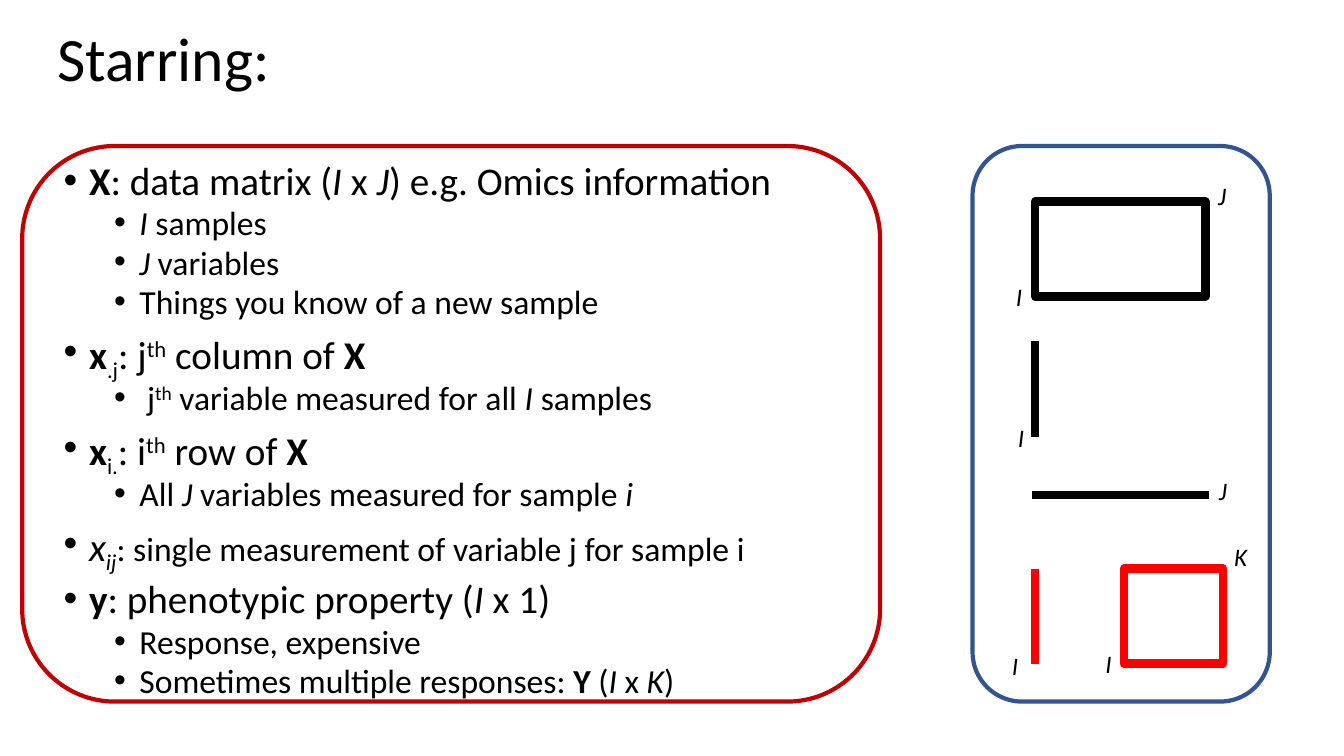
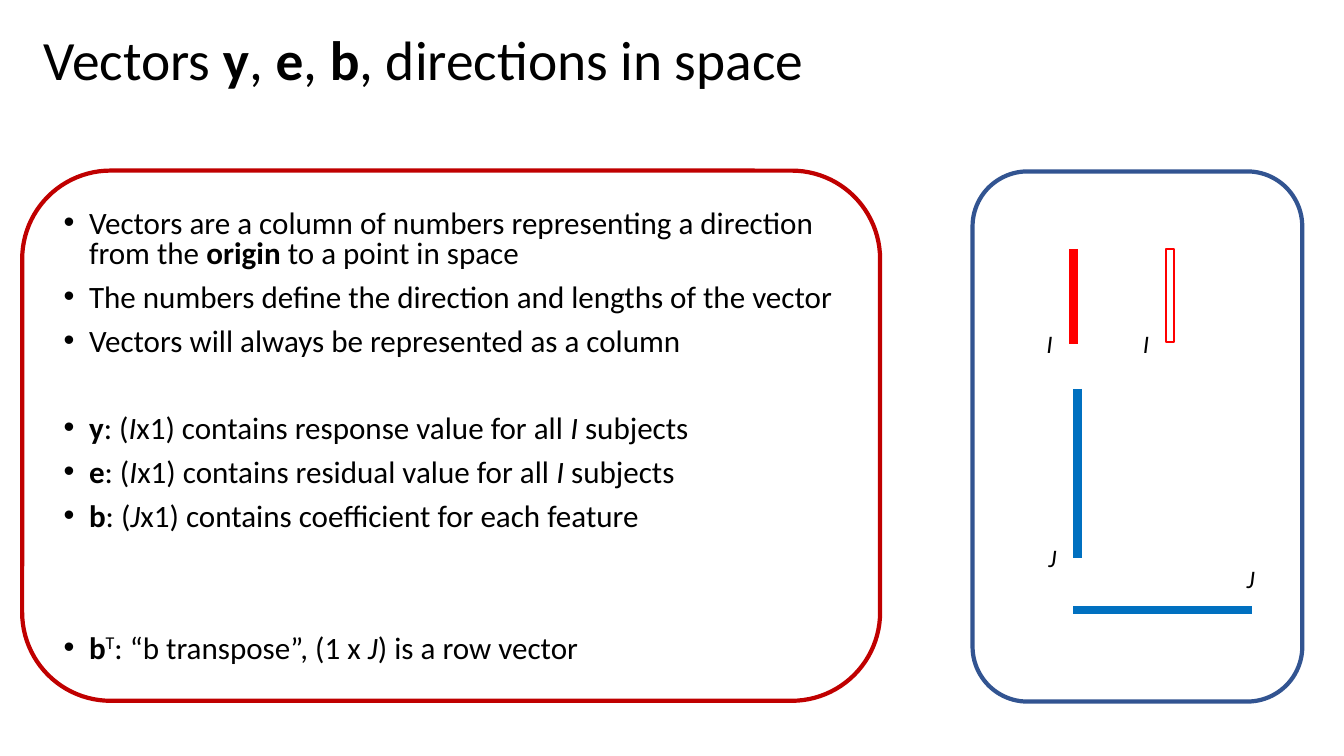
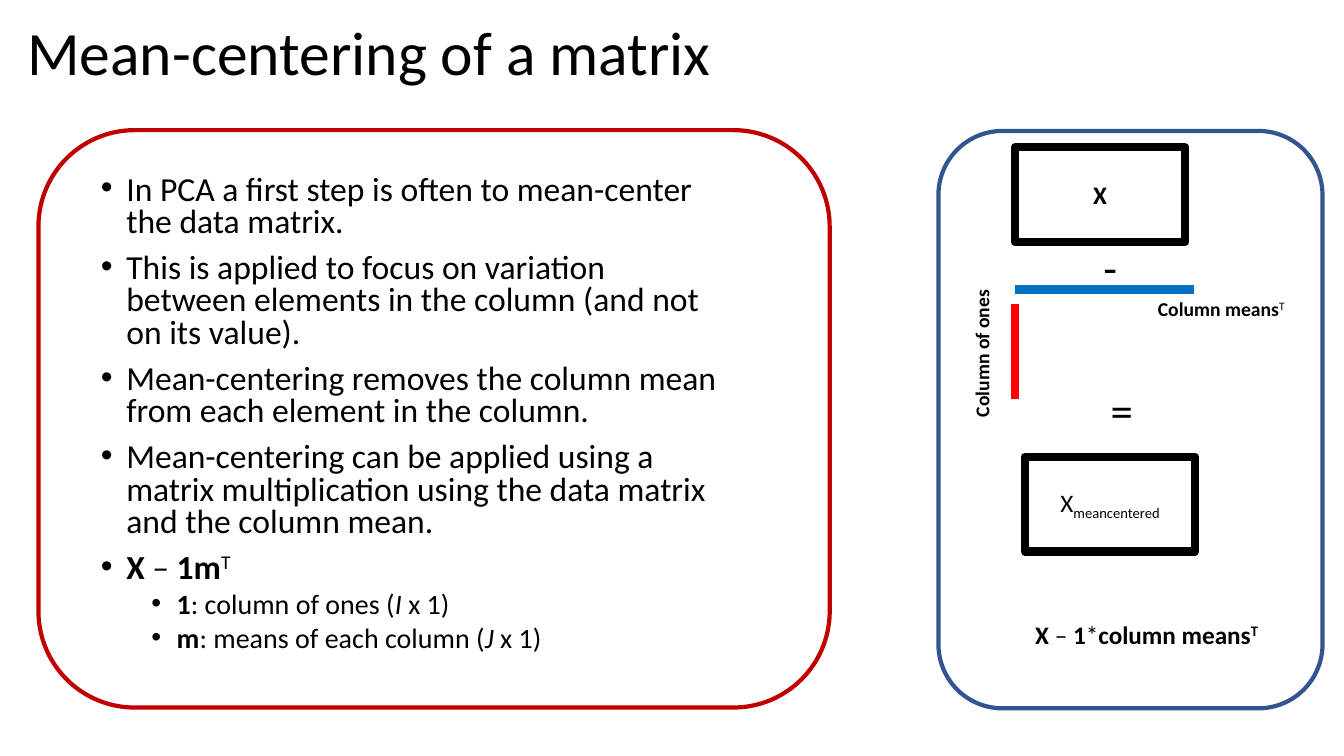
from lxml import etree
from pptx import Presentation
from pptx.dml.color import RGBColor
from pptx.enum.shapes import MSO_CONNECTOR, MSO_SHAPE
from pptx.enum.text import MSO_ANCHOR, MSO_AUTO_SIZE, PP_ALIGN
from pptx.oxml.ns import qn
from pptx.util import Cm, Pt

RECT, ROUND = MSO_SHAPE.RECTANGLE, MSO_SHAPE.ROUNDED_RECTANGLE
LINE = MSO_CONNECTOR.STRAIGHT
LEFT, CENTER = PP_ALIGN.LEFT, PP_ALIGN.CENTER
TOP, MIDDLE = MSO_ANCHOR.TOP, MSO_ANCHOR.MIDDLE
FIXED = MSO_AUTO_SIZE.NONE


class Theme:
    font = "Calibri"
    black = RGBColor(0x00, 0x00, 0x00)
    white = RGBColor(0xFF, 0xFF, 0xFF)
    red = RGBColor(0xFF, 0x00, 0x00)
    blue = RGBColor(0x00, 0x70, 0xC0)
    edges = (RGBColor(0xC0, 0x00, 0x00), RGBColor(0x32, 0x54, 0x91))
    title, small_title = 44, 39.6
    large, text, medium, detail = 28, 24, 22.2, 20
    sign, label, note = 32, 18, 14
    thick, edge, thin = 6, 3, 1.5


def write(para, markup, size):
    """Words in {style words} are b bold, i italic, s raised, d lowered, m text size."""
    for part in markup.split("{"):
        marked, brace, plain = part.rpartition("}")
        style, gap, words = marked.partition(" ")
        for look, piece in ((style, words), ("", plain)):
            if not piece:
                continue
            run = para.add_run()
            run.text = piece
            font = run.font
            font.name = Theme.font
            font.size = Pt(Theme.text if "m" in look else size)
            font.color.rgb = Theme.black
            font.bold = "b" in look
            font.italic = "i" in look
            if "s" in look or "d" in look:
                shift = "30000" if "s" in look else "-25000"
                run._r.get_or_add_rPr().set("baseline", shift)


def draw(slide, kind, place, color, width, fill=None):
    shape = slide.shapes.add_shape(kind, *map(Cm, place))
    shape.shadow.inherit = False
    shape.line.color.rgb = color
    shape.line.width = Pt(width)
    if fill is None:
        shape.fill.background()
    else:
        shape.fill.solid()
        shape.fill.fore_color.rgb = fill
    return shape


pages = [
    dict(
        title="Starring:",
        head=(1.19, 0.48, 29.21, 2.13),
        size=Theme.title,
        body=(1.35, 4.04, 20.83, 14),
        sizes=(Theme.large, Theme.text),
        items=[
            (0, 0, "{b X}: data matrix ({i I} x {i J}) e.g. Omics information"),
            (1, 5, "{i I} samples"),
            (1, 5, "{i J} variables"),
            (1, 5, "Things you know of a new sample"),
            (0, 10, "{b x}{d .j}: j{s th} column of {b X}"),
            (1, 5, " j{s th} variable measured for all {i I} samples"),
            (0, 10, "{b x}{d i.}: i{s th} row of {b X}"),
            (1, 5, "All {i J} variables measured for sample {i i}"),
            (0, 10, "{i x}{id ij}{m : single measurement of variable j for sample i}"),
            (0, 10, "{b y}: phenotypic property ({i I} x 1)"),
            (1, 5, "Response, expensive"),
            (1, 5, "Sometimes multiple responses: {b Y} ({i I} x {i K})"),
        ],
        panels=[(0.56, 3.68, 21.62, 14), (24.51, 3.68, 7.49, 14)],
        frames=[
            ((26.09, 5.08, 4.29, 2.39), Theme.black, Theme.thick, ""),
            ((28.32, 14.33, 2.51, 2.39), Theme.red, Theme.thick, ""),
        ],
        bars=[
            ((26.09, 8.59, 26.09, 11), Theme.black),
            ((26.01, 12.47, 30.48, 12.47), Theme.black),
            ((26.09, 14.33, 26.09, 16.74), Theme.red),
        ],
        labels=[
            ("{i J}", 30.7, 4.55, 0.5, Theme.label, 0),
            ("{i I}", 25.6, 7.09, 0.5, Theme.label, 0),
            ("{i I}", 25.65, 10.64, 0.5, Theme.label, 0),
            ("{i J}", 30.72, 11.99, 0.5, Theme.label, 0),
            ("{i K}", 31.1, 13.64, 0.5, Theme.label, 0),
            ("{i I}", 25.5, 16.38, 0.5, Theme.label, 0),
            ("{i I}", 27.86, 16.33, 0.5, Theme.label, 0),
        ],
    ),
    dict(
        title="Vectors {b y}, {b e}, {b b}, directions in space",
        head=(0.84, 0.71, 29.21, 1.75),
        size=Theme.small_title,
        body=(1.35, 5.18, 20.04, 12.09),
        sizes=(Theme.medium, Theme.medium),
        items=[
            (0, 0, "Vectors are a column of numbers representing a direction "
                   "from the {b origin} to a point in space"),
            (0, 10, "The numbers define the direction and lengths of the vector"),
            (0, 10, "Vectors will always be represented as a column"),
            (0, 41.5, "{b y}: ({i I}x1) contains response value for all {i I} subjects"),
            (0, 10, "{b e}: ({i I}x1) contains residual value for all {i I} subjects"),
            (0, 10, "{b b}: ({i J}x1) contains coefficient for each feature"),
            (0, 72.5, "{b b}{s T}: “b transpose”, (1 x {i J}) is a row vector"),
        ],
        panels=[(0.56, 4.3, 21.62, 13.36), (24.51, 4.32, 8.31, 13.36)],
        frames=[((29.39, 6.27, 0.2, 2.36), Theme.red, Theme.thin, "")],
        bars=[
            ((27.05, 6.27, 27.05, 8.66), Theme.red),
            ((27.15, 9.8, 27.15, 14.05), Theme.blue),
            ((27.05, 15.37, 31.55, 15.37), Theme.blue),
        ],
        labels=[
            ("{i I}", 26.37, 8.28, 0.5, Theme.label, 0),
            ("{i I}", 28.8, 8.28, 0.5, Theme.label, 0),
            ("{i J}", 26.42, 13.67, 0.5, Theme.label, 0),
            ("{i J}", 31.42, 14.2, 0.5, Theme.label, 0),
        ],
    ),
    dict(
        title="Mean-centering of a matrix",
        head=(0.43, 0.33, 29.21, 2.13),
        size=Theme.title,
        body=(2.29, 4.29, 16.18, 13.56),
        sizes=(Theme.text, Theme.detail),
        items=[
            (0, 0, "In PCA a first step is often to mean-center the data matrix."),
            (0, 10, "This is applied to focus on variation between elements "
                    "in the column (and not on its value)."),
            (0, 10, "Mean-centering removes the column mean from each element "
                    "in the column."),
            (0, 10, "Mean-centering can be applied using a matrix multiplication "
                    "using the data matrix and the column mean."),
            (0, 10, "{b X} – {b 1m}{s T}"),
            (1, 5, "{b 1}: column of ones ({i I} x 1)"),
            (1, 5, "{b m}: means of each column ({i J} x 1)"),
        ],
        panels=[(0.97, 3.28, 19.94, 14.55), (23.65, 3.3, 9.68, 14.55)],
        frames=[
            ((25.58, 3.71, 4.29, 2.39), Theme.black, Theme.thick, "{b X}"),
            ((25.83, 11.51, 4.29, 2.39), Theme.black, Theme.thick, "X{d meancentered}"),
        ],
        bars=[
            ((25.58, 7.67, 25.58, 10.06), Theme.red),
            ((25.58, 7.29, 30.1, 7.29), Theme.blue),
        ],
        labels=[
            ("-", 27.81, 6.05, 0.8, Theme.sign, 0),
            ("{b Column means}{s T}", 29.18, 7.49, 3.6, Theme.note, 0),
            ("{b Column of ones}", 22.94, 8.41, 3.6, Theme.note, 270),
            ("=", 27.99, 9.65, 0.8, Theme.sign, 0),
            ("{b X} – {b 1}*{b column means}{bs T}", 26.09, 15.6, 6.4, Theme.label, 0),
        ],
    ),
]

deck = Presentation()
deck.slide_width, deck.slide_height = Cm(33.87), Cm(19.05)

for page in pages:
    slide = deck.slides.add_slide(deck.slide_layouts[1])
    title, body = slide.shapes.title, slide.placeholders[1]
    for holder, place, anchor in ((title, page["head"], MIDDLE), (body, page["body"], TOP)):
        holder.left, holder.top, holder.width, holder.height = map(Cm, place)
        holder.text_frame.auto_size = FIXED
        holder.text_frame.vertical_anchor = anchor

    para = title.text_frame.paragraphs[0]
    para.alignment = LEFT
    para.line_spacing = 0.9
    write(para, page["title"], page["size"])

    frame = body.text_frame
    for index, (level, gap, words) in enumerate(page["items"]):
        para = frame.add_paragraph() if index else frame.paragraphs[0]
        para.level = level
        para.line_spacing = 0.8
        para.space_before = Pt(gap)
        props = para._p.get_or_add_pPr()
        props.set("marL", str(Cm(0.64 + 1.27 * level)))
        props.set("indent", str(-Cm(0.64)))
        etree.SubElement(props, qn("a:buFont")).set("typeface", "Arial")
        etree.SubElement(props, qn("a:buChar")).set("char", "•")
        write(para, words, page["sizes"][level])

    for place, color, width, words in page["frames"]:
        box = draw(slide, RECT, place, color, width, Theme.white)
        if words:
            box.text_frame.vertical_anchor = MIDDLE
            para = box.text_frame.paragraphs[0]
            para.alignment = CENTER
            write(para, words, Theme.label)

    for ends, color in page["bars"]:
        bar = slide.shapes.add_connector(LINE, *map(Cm, ends))
        bar.line.color.rgb = color
        bar.line.width = Pt(Theme.thick)
        etree.SubElement(bar._element.spPr, qn("a:effectLst"))

    for place, color in zip(page["panels"], Theme.edges):
        draw(slide, ROUND, place, color, Theme.edge)

    for words, left, top, width, size, turn in page["labels"]:
        label = slide.shapes.add_textbox(Cm(left), Cm(top), Cm(width), Cm(size * 0.043))
        label.rotation = turn
        frame = label.text_frame
        frame.word_wrap = True
        frame.margin_left = frame.margin_right = 0
        frame.margin_top = frame.margin_bottom = 0
        write(frame.paragraphs[0], words, size)

deck.save("out.pptx")
